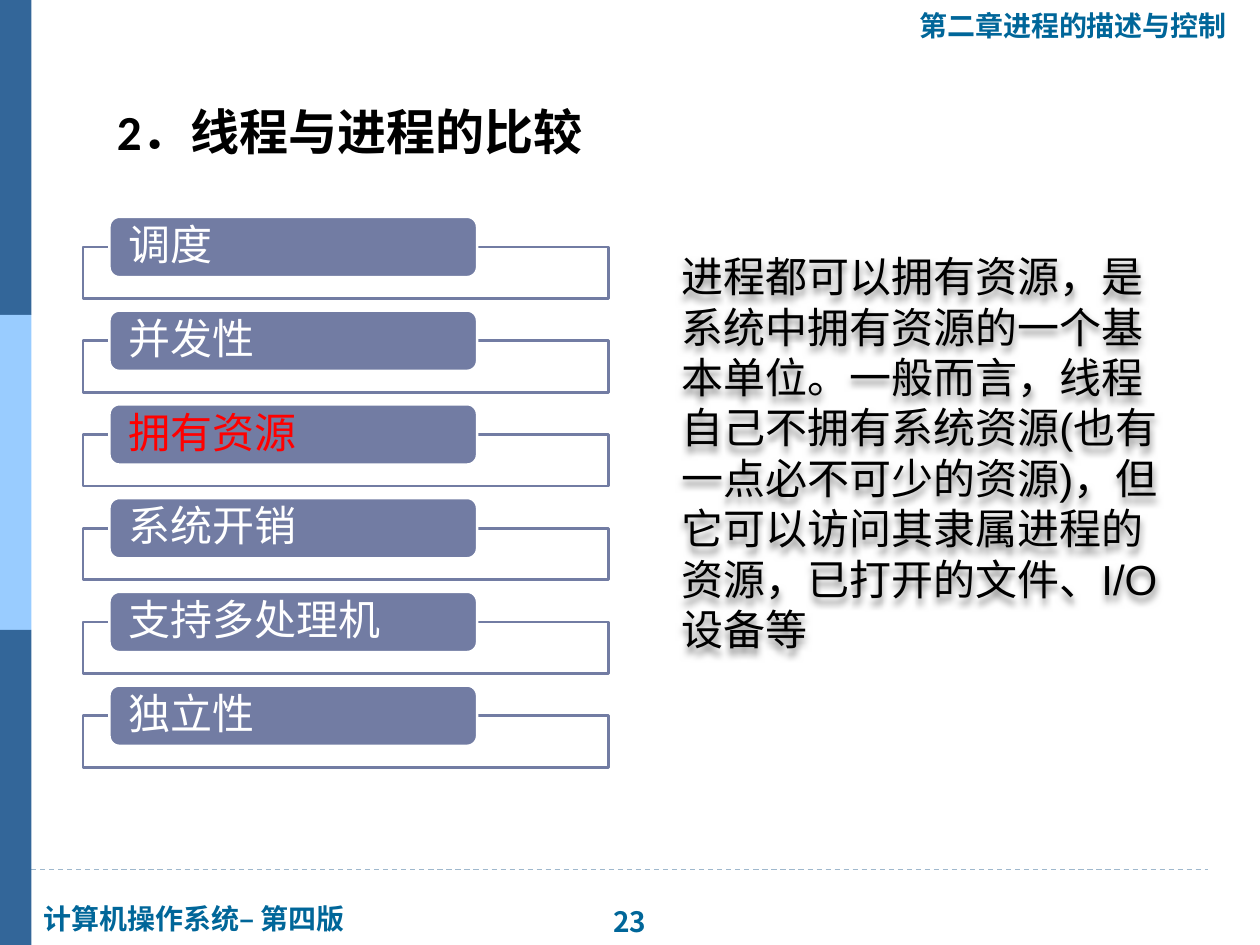
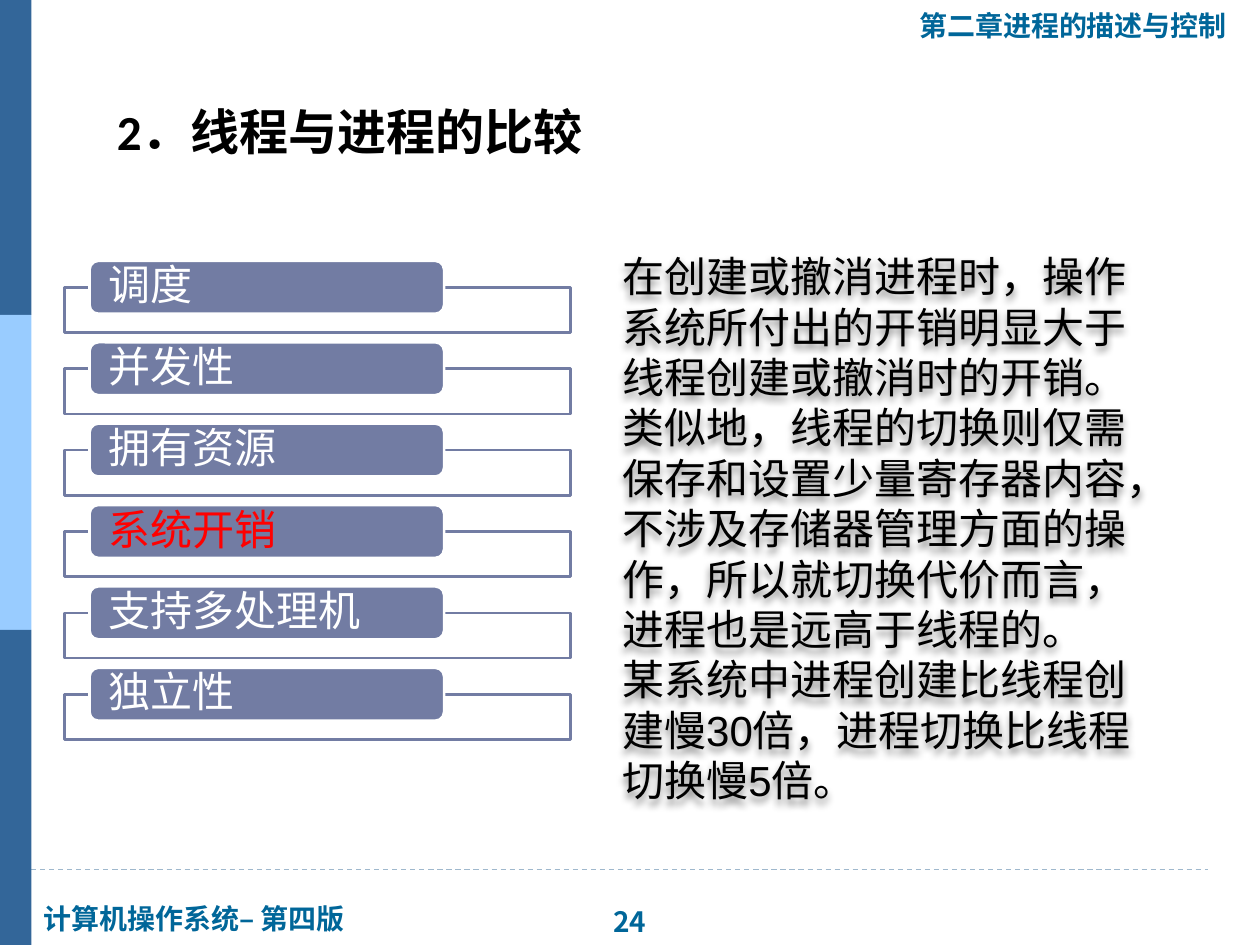
from lxml import etree
from pptx import Presentation
from pptx.dml.color import RGBColor
from pptx.enum.dml import MSO_LINE
from pptx.enum.shapes import MSO_CONNECTOR, MSO_SHAPE
from pptx.enum.text import MSO_ANCHOR, PP_ALIGN
from pptx.oxml.ns import qn
from pptx.util import Inches, Pt

RECT, ROUND = MSO_SHAPE.RECTANGLE, MSO_SHAPE.ROUNDED_RECTANGLE
STRAIGHT, DASH = MSO_CONNECTOR.STRAIGHT, MSO_LINE.DASH
LEFT, CENTER = PP_ALIGN.LEFT, PP_ALIGN.CENTER
MIDDLE = MSO_ANCHOR.MIDDLE

COLORS = {
    "band": "336699", "light": "99CCFF", "rule": "9FB8CD", "label": "006699",
    "tag": "727CA3", "white": "FFFFFF", "active": "FF0000", "text": "000000",
}
TITLE = "2．线程与进程的比较"
BOOK = "计算机操作系统– 第四版"
CHAPTER = "第二章进程的描述与控制"
TOPICS = ["调度", "并发性", "拥有资源", "系统开销", "支持多处理机", "独立性"]

# Each list gives left, top of first tag, frame width, frame height,
# tag height, and distance from first tag to last tag.
SLIDES = [
    {
        "number": 23, "active": "拥有资源",
        "list": (0.66, 1.72, 4.17, 0.41, 0.48, 3.72),
        "body": (5.31, 1.94, 4.17, 3.33),
        "text": ["进程都可以拥有资源，是系统中拥有资源的一个基本单位。"
                 "一般而言，线程自己不拥有系统资源(也有一点必不可少的资源)，"
                 "但它可以访问其隶属进程的资源，已打开的文件、I/O设备等"],
    },
    {
        "number": 24, "active": "系统开销",
        "list": (0.51, 2.07, 4.02, 0.36, 0.42, 3.23),
        "body": (4.84, 1.94, 4.41, 4.54),
        "text": ["在创建或撤消进程时，操作系统所付出的开销明显大于"
                 "线程创建或撤消时的开销。类似地，线程的切换则仅需"
                 "保存和设置少量寄存器内容，不涉及存储器管理方面的操作，"
                 "所以就切换代价而言，进程也是远高于线程的。",
                 "某系统中进程创建比线程创建慢30倍，进程切换比线程切换慢5倍。"],
    },
]


def color(name):
    return RGBColor.from_string(COLORS[name])


def style(para, size, font, hue, bold=False, align=LEFT):
    para.alignment = align
    para.font.size = Pt(size)
    para.font.name = font
    para.font.bold = bold
    para.font.color.rgb = color(hue)


def add_box(slide, kind, place, fill, line=None):
    box = slide.shapes.add_shape(kind, *map(Inches, place))
    box.shadow.inherit = False
    box.fill.solid()
    box.fill.fore_color.rgb = color(fill)
    if line:
        box.line.color.rgb = color(line)
        box.line.width = Pt(1.5)
    else:
        box.line.fill.background()
    return box


def add_text(slide, place, lines, size, font, hue, bold=False,
             align=LEFT, wrap=True):
    box = slide.shapes.add_textbox(*map(Inches, place))
    frame = box.text_frame
    frame.word_wrap = wrap
    frame.text = "\n".join(lines)
    for para in frame.paragraphs:
        style(para, size, font, hue, bold, align)
    return box


def add_shadow(box):
    """Give the text of an unfilled box a soft shadow."""
    effects = etree.SubElement(box.element.spPr, qn("a:effectLst"))
    outer = etree.SubElement(effects, qn("a:outerShdw"), blurRad="50800",
                             dist="38100", dir="5400000", rotWithShape="0")
    black = etree.SubElement(outer, qn("a:srgbClr"), val=COLORS["text"])
    etree.SubElement(black, qn("a:alpha"), val="50000")


def add_base(slide, number):
    # Dashed rule above the footer
    rule = slide.shapes.add_connector(
        STRAIGHT, *map(Inches, (-0.04, 6.9, 9.59, 6.9)))
    rule.line.color.rgb = color("rule")
    rule.line.width = Pt(0.75)
    rule.line.dash_style = DASH
    etree.SubElement(rule.element.spPr, qn("a:effectLst"))

    # Side band
    for i, fill in enumerate(("band", "light", "band")):
        add_box(slide, RECT, (0, 2.5 * i, 0.25, 2.5), fill)

    # Footer, page number, chapter
    labels = [
        ((0.25, 7.11, 2.65, 0.37), BOOK, "Arial", LEFT),
        ((4.73, 7.13, 0.54, 0.37), str(number), "Noto Sans CJK JP", CENTER),
        ((7.2, 0.02, 2.67, 0.37), CHAPTER, "Arial", LEFT),
    ]
    for place, text, font, align in labels:
        add_text(slide, place, [text], 16, font, "label", True, align, False)


def add_topic(slide, text, place, hue):
    tag = add_box(slide, ROUND, place, "tag", "white")
    frame = tag.text_frame
    frame.word_wrap = True
    frame.vertical_anchor = MIDDLE
    frame.margin_left = frame.margin_right = Inches(0.13)
    frame.margin_top = frame.margin_bottom = 0
    frame.text = text
    para = frame.paragraphs[0]
    para.line_spacing = 0.9
    style(para, 24, "Calibri", hue)


def add_list(slide, active, left, top, width, high, tag_high, span):
    step = span / (len(TOPICS) - 1)
    for i, topic in enumerate(TOPICS):
        y = top + i * step
        add_box(slide, RECT, (left, y + tag_high / 2, width, high),
                "white", "tag")
        add_topic(slide, topic, (left + 0.05 * width, y, 0.7 * width, tag_high),
                  "active" if topic == active else "white")


def main():
    deck = Presentation()
    deck.slide_width, deck.slide_height = Inches(10), Inches(7.5)
    for page in SLIDES:
        slide = deck.slides.add_slide(deck.slide_layouts[6])
        add_base(slide, page["number"])
        add_list(slide, page["active"], *page["list"])
        add_text(slide, (0.83, 0.76, 4.65, 0.57), [TITLE], 28, "Calibri",
                 "text", True)
        body = add_text(slide, page["body"], page["text"], 24, "Arial", "text")
        add_shadow(body)
    deck.save("out.pptx")


if __name__ == "__main__":
    main()
